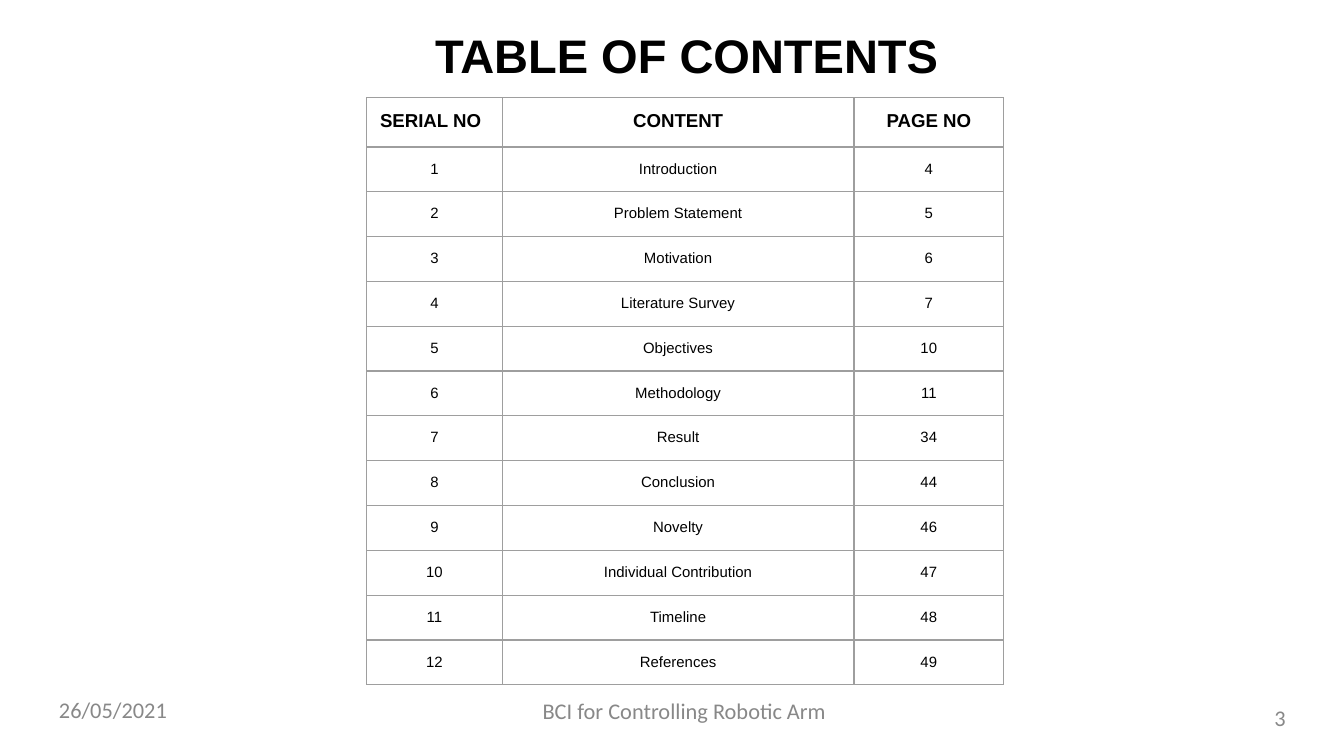
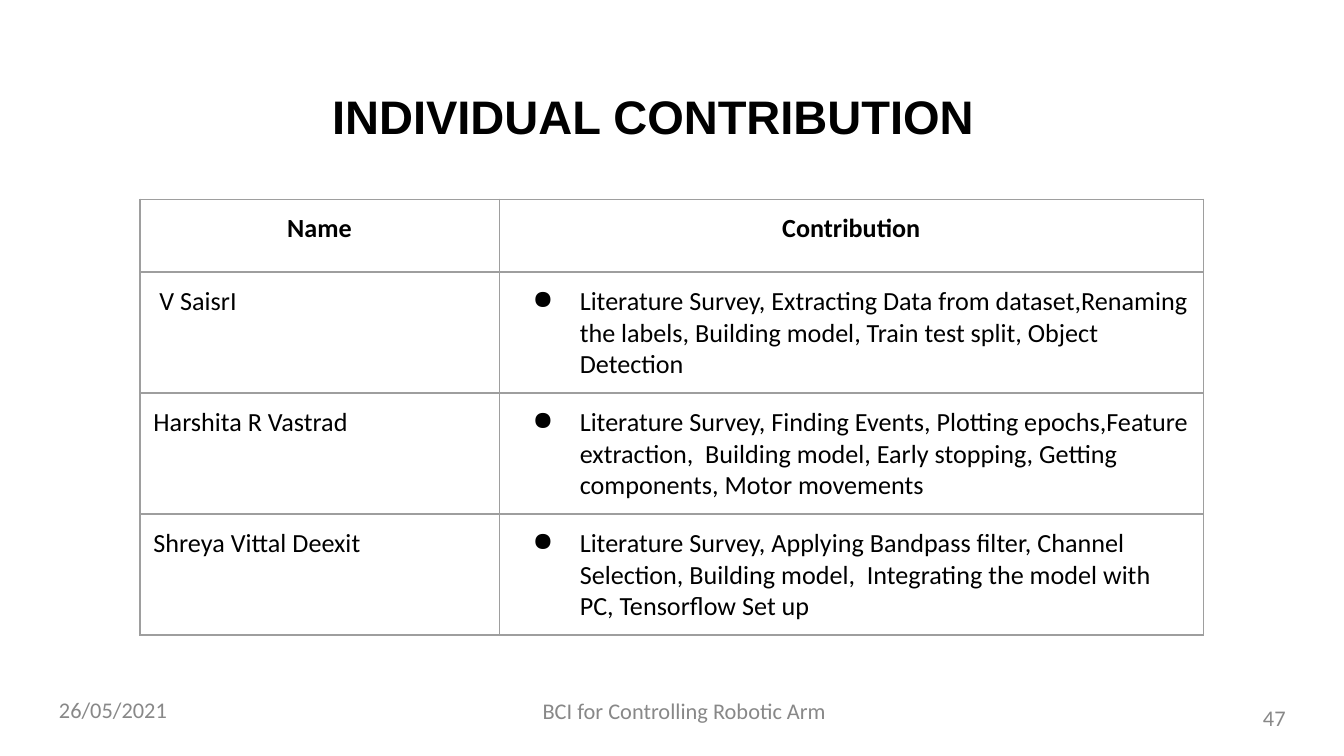
from pptx import Presentation
from pptx.util import Pt
from pptx.dml.color import RGBColor
from pptx.enum.text import MSO_ANCHOR, MSO_AUTO_SIZE, PP_ALIGN
from pptx.oxml.ns import qn
from lxml.etree import SubElement

HUES = {"ink": "000000", "foot": "888888", "rule": "9E9E9E", "page": "FFFFFF"}
LEFT, MID, RIGHT = PP_ALIGN.LEFT, PP_ALIGN.CENTER, PP_ALIGN.RIGHT
PAD = 7.2

HEAD = dict(name="Arial", size=25.2, bold=True, hue="ink")
FOOT = dict(name="Calibri", size=12, bold=False, hue="foot")
TOP = dict(name="Arial", size=10, bold=True, hue="ink")
ROW = TOP | dict(size=8, bold=False)
LABEL = dict(name="Calibri", size=14, bold=True, hue="ink")
WORK = LABEL | dict(bold=False)

TOPICS = [("Introduction", 4), ("Problem Statement", 5), ("Motivation", 6),
          ("Literature Survey", 7), ("Objectives", 10), ("Methodology", 11),
          ("Result", 34), ("Conclusion", 44), ("Novelty", 46),
          ("Individual Contribution", 47), ("Timeline", 48), ("References", 49)]

TEAM = [
    (" V SaisrI",
     "Literature Survey, Extracting Data from dataset,Renaming the labels, "
     "Building model, Train test split, Object Detection"),
    ("Harshita R Vastrad",
     "Literature Survey, Finding Events, Plotting epochs,Feature extraction,  "
     "Building model, Early stopping, Getting components, Motor movements"),
    ("Shreya Vittal Deexit",
     "Literature Survey, Applying Bandpass filter, Channel Selection, "
     "Building model,  Integrating the model with PC, Tensorflow Set up"),
]


def hue(name):
    return RGBColor.from_string(HUES[name])


class Deck:
    """Holds the shared style and the current slide."""

    def __init__(self):
        self.prs = Presentation()
        self.prs.slide_width, self.prs.slide_height = Pt(720), Pt(405)
        self.slide = None

    def start(self, title, left, top, page):
        """Open a slide with its title and footer line."""
        self.slide = self.prs.slides.add_slide(self.prs.slide_layouts[5])
        fill = self.slide.background.fill
        fill.solid()
        fill.fore_color.rgb = hue("page")
        box = self.slide.shapes.title
        box.left, box.top, box.width, box.height = map(Pt, (left, top, 671, 45.4))
        self.fit(box.text_frame, MSO_ANCHOR.TOP, PAD)
        self.put(box.text_frame, title, MID, HEAD)
        self.note(page, 527.8, 370, RIGHT)
        self.note("26/05/2021", 24.5, 365.8, LEFT)
        foot = self.note("BCI for Controlling Robotic Arm ", 250, 366.5, MID, 236)
        self.fit(foot, MSO_ANCHOR.TOP, PAD, MSO_AUTO_SIZE.SHAPE_TO_FIT_TEXT)

    def fit(self, frame, anchor, pad, size=MSO_AUTO_SIZE.NONE):
        rules = dict(word_wrap=True, auto_size=size, vertical_anchor=anchor,
                     margin_left=Pt(PAD), margin_right=Pt(PAD),
                     margin_top=Pt(pad), margin_bottom=Pt(pad))
        for key, val in rules.items():
            setattr(frame, key, val)

    def put(self, frame, text, align, style, dot=False):
        """Fill the frame with one formatted paragraph."""
        para = frame.paragraphs[0]
        para.text = str(text)
        para.alignment = align
        if dot:
            self.dot(para)
        font = para.runs[0].font
        for key in ("name", "bold"):
            setattr(font, key, style[key])
        font.size = Pt(style["size"])
        font.color.rgb = hue(style["hue"])

    def dot(self, para):
        """Give the paragraph a hanging round bullet."""
        props = para._p.get_or_add_pPr()
        props.set("marL", str(Pt(36)))
        props.set("indent", str(Pt(-25.2)))
        tint = SubElement(props, qn("a:buClr"))
        SubElement(tint, qn("a:srgbClr"), val=HUES["ink"])
        SubElement(props, qn("a:buChar"), char="●")

    def note(self, text, left, top, align, width=168):
        box = self.slide.shapes.add_textbox(*map(Pt, (left, top, width, 28.8)))
        self.fit(box.text_frame, MSO_ANCHOR.MIDDLE, 3.6)
        self.put(box.text_frame, text, align, FOOT)
        return box.text_frame

    def grid(self, left, top, cols, highs, rows, looks):
        """Draw a ruled table; looks(row, col) gives the cell's text format."""
        size = map(Pt, (left, top, sum(cols), sum(highs)))
        table = self.slide.shapes.add_table(len(rows), len(cols), *size).table
        table.first_row = table.horz_banding = False
        for col, wide in zip(table.columns, cols):
            col.width = Pt(wide)
        for r, (row, high) in enumerate(zip(rows, highs)):
            table.rows[r].height = Pt(high)
            for c, text in enumerate(row):
                cell = table.cell(r, c)
                for side in ("left", "right", "top", "bottom"):
                    setattr(cell, f"margin_{side}", Pt(PAD))
                self.rule(cell)
                cell.fill.background()
                self.put(cell.text_frame, text, **looks(r, c))

    def rule(self, cell):
        """Line all four sides of the cell."""
        props = cell._tc.get_or_add_tcPr()
        for side in "LRTB":
            line = SubElement(props, qn(f"a:ln{side}"), w=str(Pt(0.75)))
            fill = SubElement(line, qn("a:solidFill"))
            SubElement(fill, qn("a:srgbClr"), val=HUES["rule"])


def list_look(row, col):
    return dict(align=MID if row or col else LEFT, style=ROW if row else TOP)


def team_look(row, col):
    if row == 0:
        return dict(align=MID, style=LABEL)
    return dict(align=LEFT, style=WORK, dot=col == 1)


def main():
    deck = Deck()

    deck.start("TABLE OF CONTENTS", 32.4, 7.2, 3)
    rows = [("SERIAL NO", "CONTENT", "PAGE NO")]
    rows += [(n, *topic) for n, topic in enumerate(TOPICS, 1)]
    deck.grid(196.4, 52.3, [72.7, 188.4, 80.2], [24] * len(rows), rows, list_look)

    deck.start("INDIVIDUAL CONTRIBUTION", 14.4, 39.6, 47)
    rows = [("Name", "Contribution"), *TEAM]
    deck.grid(75, 106.7, [192.4, 377.4], [39] + [58.3] * len(TEAM), rows, team_look)

    deck.prs.save("out.pptx")


if __name__ == "__main__":
    main()
